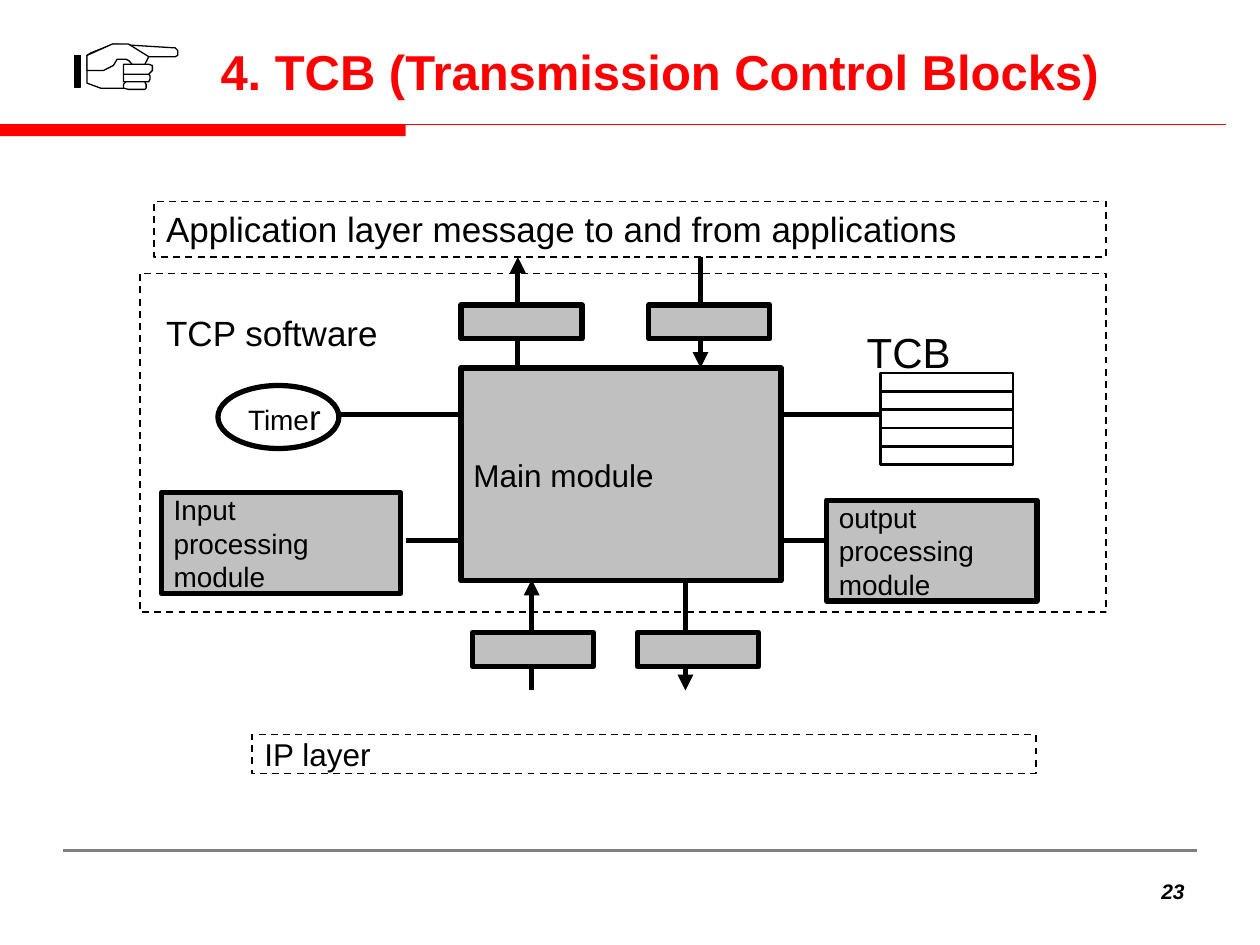
"""Build the slide on TCP Transmission Control Blocks."""
from lxml.etree import SubElement
from pptx import Presentation
from pptx.dml.color import RGBColor
from pptx.enum.dml import MSO_LINE
from pptx.enum.shapes import MSO_CONNECTOR, MSO_SHAPE
from pptx.enum.text import MSO_ANCHOR, MSO_AUTO_SIZE, PP_ALIGN
from pptx.oxml.ns import qn
from pptx.util import Inches, Pt

rgb = RGBColor.from_string
RECT, OVAL = MSO_SHAPE.RECTANGLE, MSO_SHAPE.OVAL
TOP, MIDDLE = MSO_ANCHOR.TOP, MSO_ANCHOR.MIDDLE
BLACK, GREY, WHITE, RED = "000000", "C0C0C0", "FFFFFF", "FF0000"

prs = Presentation()
prs.slide_width, prs.slide_height = Inches(10), Inches(7.5)
slide = prs.slides.add_slide(prs.slide_layouts[5])
shapes = slide.shapes


def box(kind, x, y, w, h, text="", size=18, fill=None, width=3, dash=None,
        anchor=MIDDLE, wrap=False, **font):
    """Add a shape, or a text box when kind is None, with left-aligned text."""
    place = [Inches(v) for v in (x, y, w, h)]
    sp = shapes.add_shape(kind, *place) if kind else shapes.add_textbox(*place)
    if kind:
        sp.shadow.inherit = False
        sp.line.color.rgb = rgb(BLACK)
        sp.line.width = Pt(width)
        if dash:
            sp.line.dash_style = dash
    if fill:
        sp.fill.solid()
        sp.fill.fore_color.rgb = rgb(fill)
    else:
        sp.fill.background()
    tf = sp.text_frame
    tf.word_wrap, tf.vertical_anchor = wrap, anchor
    p = tf.paragraphs[0]
    p.text, p.alignment = text, PP_ALIGN.LEFT
    for r in p.runs:
        for key, value in {"name": "Arial", "size": Pt(size), **font}.items():
            setattr(r.font, key, value)
        r.font.color.rgb = rgb(BLACK)
    return sp


def line(x1, y1, x2, y2, width=3.0, color=BLACK, arrow=False):
    """Add a straight line, with an arrowhead at its end when asked."""
    cx = shapes.add_connector(MSO_CONNECTOR.STRAIGHT,
                              *[Inches(v) for v in (x1, y1, x2, y2)])
    cx.line.color.rgb = rgb(color)
    cx.line.width = Pt(width)
    if arrow:
        SubElement(cx.line._get_or_add_ln(), qn("a:tailEnd"), type="triangle")
    SubElement(cx._element.spPr, qn("a:effectLst"))


title = shapes.title
title.left, title.top, title.width, title.height = [
    Inches(v) for v in (1.65, 0.28, 8.1, 0.57)]
tf = title.text_frame
tf.word_wrap, tf.vertical_anchor, tf.auto_size = True, TOP, MSO_AUTO_SIZE.NONE
p = tf.paragraphs[0]
p.alignment = PP_ALIGN.LEFT
r = p.add_run()
r.text = "4. TCB (Transmission Control Blocks)"
for key, value in {"name": "Arial", "size": Pt(28), "bold": True}.items():
    setattr(r.font, key, value)
r.font.color.rgb = rgb(RED)

band = box(RECT, 0, 0.99, 3.22, 0.09, fill=RED)
band.line.fill.background()
line(0, 0.99, 9.73, 0.99, 0.75, RED)
line(0.5, 6.75, 9.5, 6.75, 1.5, "808080")
number = box(None, 7.82, 6.92, 1.68, 0.3, "23", 12, anchor=TOP, wrap=True,
             bold=True, italic=True)
number.text_frame.paragraphs[0].alignment = PP_ALIGN.RIGHT

box(RECT, 1.11, 2.17, 7.67, 2.69, width=1, dash=MSO_LINE.DASH)
for x, y1, y2 in [(4.11, 2.92, 2.04), (5.56, 2.04, 2.92),
                  (4.22, 5.48, 4.6), (5.44, 4.6, 5.48)]:
    line(x, y1, x, y2, arrow=True)

box(RECT, 3.66, 2.92, 2.54, 1.69, "Main module", fill=GREY)
box(RECT, 1.28, 3.91, 1.9, 0.8, "Input \nprocessing\nmodule", 16, GREY)
box(RECT, 6.56, 3.97, 1.67, 0.8, "output \nprocessing\nmodule", 16, GREY)

box(RECT, 6.99, 2.96, 1.05, 0.73, fill=WHITE, width=1.5)
for i in range(1, 5):
    y = 2.96 + i * 0.73 / 5
    line(6.99, y, 8.05, y, 1.5)

timer = box(OVAL, 1.73, 3.06, 0.96, 0.5, "Time", 16, WHITE)
r = timer.text_frame.paragraphs[0].add_run()
r.text = "r"
r.font.name, r.font.size = "Arial", Pt(20)
r.font.color.rgb = rgb(BLACK)

for x, y in [(3.75, 5.02), (5.06, 5.02), (3.66, 2.42), (5.15, 2.42)]:
    box(RECT, x, y, 0.96, 0.27, fill=GREY)

box(RECT, 1.22, 1.6, 7.56, 0.44,
    "Application layer message to and from applications", 20,
    width=1, dash=MSO_LINE.DASH, anchor=TOP, wrap=True)
box(RECT, 2, 5.83, 6.22, 0.31, "IP layer", width=1, dash=MSO_LINE.DASH)
box(None, 1.22, 2.42, 2.33, 0.44, "TCP software", 20, anchor=TOP, wrap=True)
box(None, 6.78, 2.54, 1.33, 0.5, "TCB", 24, anchor=TOP, wrap=True)

for x1, x2, y in [(2.67, 3.67, 3.29), (3.22, 3.67, 4.29),
                  (6.22, 7, 3.29), (6.22, 6.56, 4.29)]:
    line(x1, y, x2, y)

hand = [
    (BLACK, [(59, 44), (59, 69), (64, 69), (64, 44)]),
    (WHITE, [(69, 44), (69, 66), (80, 70), (113, 70), (113, 48), (111, 45),
             (139, 45), (141, 44), (141, 40), (139, 38), (90, 35), (72, 42)]),
    (WHITE, [(98, 59), (118, 59), (119, 60), (119, 63), (118, 65), (98, 65)]),
    (WHITE, [(115, 65), (100, 65), (98, 67), (98, 70), (102, 71), (115, 71),
             (116, 70), (116, 67)]),
    (WHITE, [(98, 51), (118, 51), (121, 52), (121, 56), (118, 59), (98, 59)]),
    (WHITE, [(89, 35), (102, 35), (118, 45), (115, 51), (105, 51), (102, 48),
             (100, 47), (93, 47), (90, 52), (82, 56), (69, 56), (69, 44)]),
]
for color, points in hand:
    fb = shapes.build_freeform(*points[0], scale=Inches(0.01))
    fb.add_line_segments(points[1:], close=True)
    sp = fb.convert_to_shape()
    sp.shadow.inherit = False
    sp.fill.solid()
    sp.fill.fore_color.rgb = rgb(color)
    sp.line.color.rgb = rgb(BLACK)
    sp.line.width = Pt(0.75)

prs.save("out.pptx")
